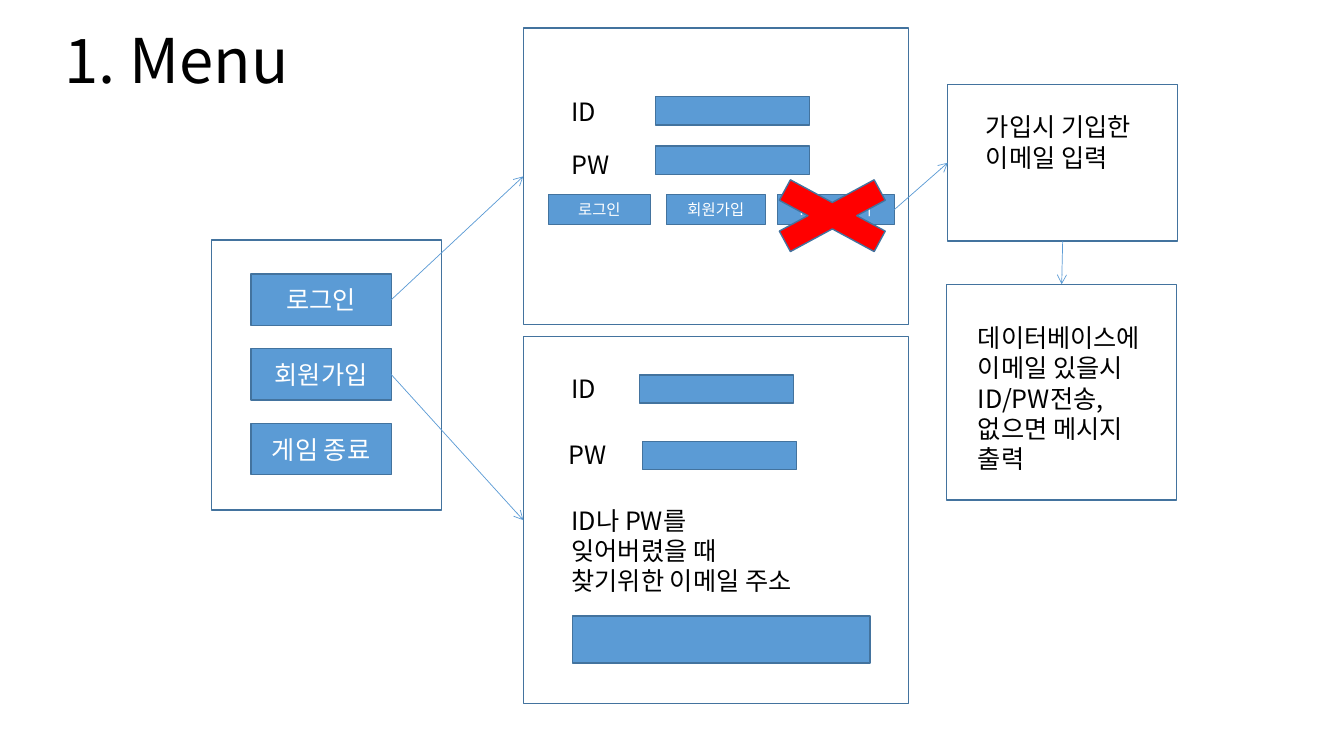
from pptx import Presentation
from pptx.dml.color import RGBColor
from pptx.enum.shapes import MSO_CONNECTOR as Connector, MSO_SHAPE as Shape
from pptx.enum.text import MSO_ANCHOR as Anchor, MSO_AUTO_SIZE as AutoSize, PP_ALIGN as Align
from pptx.oxml.ns import qn
from pptx.util import Inches, Pt
from lxml.etree import SubElement

COLORS = {"fill": "5B9BD5", "edge": "43739E", "cross": "FF0000",
          "text": "000000", "button_text": "FFFFFF"}
FONT = "Noto Sans CJK KR"
LEFT, BOTTOM, RIGHT, TOP = 1, 2, 3, 0  # connection sites of a rectangle


def color(name):
    return RGBColor.from_string(COLORS[name])


def write(shape, text, size, color_name, align=Align.LEFT, anchor=Anchor.TOP):
    frame = shape.text_frame
    frame_format = {"word_wrap": True, "auto_size": AutoSize.NONE, "vertical_anchor": anchor}
    for name, value in frame_format.items():
        setattr(frame, name, value)
    paragraph = frame.paragraphs[0]
    paragraph.alignment = align
    run = paragraph.add_run()
    run.text = text
    for name, value in {"name": FONT, "size": Pt(size)}.items():
        setattr(run.font, name, value)
    run.font.color.rgb = color(color_name)
    SubElement(run.font._element, qn("a:ea"), typeface=FONT)
    return paragraph


def add_box(slide, box, fill=None, kind=Shape.RECTANGLE):
    shape = slide.shapes.add_shape(kind, *map(Inches, box))
    shape.shadow.inherit = False
    if fill:
        shape.fill.solid()
        shape.fill.fore_color.rgb = color(fill)
    else:
        shape.fill.background()
    shape.line.color.rgb = color("edge")
    shape.line.width = Pt(1)
    return shape


def add_button(slide, box, text, size):
    button = add_box(slide, box, "fill")
    write(button, text, size, "button_text", Align.CENTER, Anchor.MIDDLE)
    return button


def add_label(slide, box, text):
    write(slide.shapes.add_textbox(*map(Inches, box)), text, 18, "text")


def add_arrow(slide, start, start_site, end, end_site):
    arrow = slide.shapes.add_connector(Connector.STRAIGHT, 0, 0, 0, 0)
    arrow.begin_connect(start, start_site)
    arrow.end_connect(end, end_site)
    arrow.line.color.rgb = color("fill")
    arrow.line.width = Pt(0.5)
    SubElement(arrow.line._get_or_add_ln(), qn("a:tailEnd"), type="arrow")
    SubElement(arrow._element.spPr, qn("a:effectLst"))


def add_title(slide, box, text):
    title = slide.shapes.title
    title.left, title.top, title.width, title.height = map(Inches, box)
    write(title, text, 44, "text").line_spacing = 0.9


def add_menu(slide, box):
    """Main menu: returns its buttons from top to bottom."""
    left, top = box[:2]
    add_box(slide, box)
    return [add_button(slide, (left + 0.39, top + 0.34 + 0.74 * row, 1.39, 0.51), text, 18)
            for row, text in enumerate(["로그인", "회원가입", "게임 종료"])]


def add_field(slide, left, top, text, field_left, field_top):
    add_label(slide, (left, top, 1.04, 0.4), text)
    add_box(slide, (field_left, field_top, 1.53, 0.28), "fill")


def add_login_panel(slide, box):
    """Login screen: returns the panel and its last button."""
    left, top = box[:2]
    panel = add_box(slide, box)
    for text, label_top, field_top in [("ID", 0.63, 0.68), ("PW", 1.15, 1.17)]:
        add_field(slide, left + 0.38, top + label_top, text, left + 1.31, top + field_top)
    for text, offset, width in [("로그인", 0.25, 1.01), ("회원가입", 1.42, 0.98),
                                ("ID/PW찾기", 2.52, 1.16)]:
        button = add_button(slide, (left + offset, top + 1.65, width, 0.3), text, 11)
    return panel, button


def add_signup_panel(slide, box):
    """Sign-up screen with the recovery e-mail field."""
    left, top = box[:2]
    panel = add_box(slide, box)
    for text, label_left, label_top, field_left in [("ID", 0.38, 0.31, 1.15),
                                                    ("PW", 0.35, 0.97, 1.18)]:
        add_field(slide, left + label_left, top + label_top, text,
                  left + field_left, top + label_top + 0.07)
    add_label(slide, (left + 0.38, top + 1.62, 2.46, 1.01),
              "ID나 PW를 잊어버렸을 때 찾기위한 이메일 주소")
    add_box(slide, (left + 0.49, top + 2.77, 2.95, 0.47), "fill")
    return panel


def add_note(slide, box, inset, text):
    """Framed step of the recovery flow."""
    left, top, _, height = box
    frame = add_box(slide, box)
    add_label(slide, (left + inset[0], top + inset[1], 1.87, height - 2 * inset[1]), text)
    return frame


def main():
    presentation = Presentation()
    presentation.slide_width, presentation.slide_height = Inches(13.33), Inches(7.5)
    slide = presentation.slides.add_slide(presentation.slide_layouts[5])

    # Screens
    add_title(slide, (0.54, 0.25, 2.59, 1.26), "1. Menu")
    login, signup, _ = add_menu(slide, (2.1, 2.38, 2.28, 2.68))
    login_panel, find_button = add_login_panel(slide, (5.19, 0.28, 3.82, 2.94))
    signup_panel = add_signup_panel(slide, (5.19, 3.34, 3.82, 3.64))

    # Recovery steps
    email = add_note(slide, (9.4, 0.84, 2.28, 1.55), (0.28, 0.22), "가입시 기입한 이메일 입력")
    database = add_note(slide, (9.39, 2.82, 2.28, 2.14), (0.21, 0.33),
                        "데이터베이스에 이메일 있을시 ID/PW전송, 없으면 메시지 출력")

    # Flow
    for arrow in [(login, RIGHT, login_panel, LEFT), (signup, RIGHT, signup_panel, LEFT),
                  (find_button, RIGHT, email, LEFT), (email, BOTTOM, database, TOP)]:
        add_arrow(slide, *arrow)

    # Cross over the dropped button
    add_box(slide, (7.35, 1.65, 1.81, 0.98), "cross", Shape.MATH_MULTIPLY)
    presentation.save("out.pptx")


if __name__ == "__main__":
    main()
